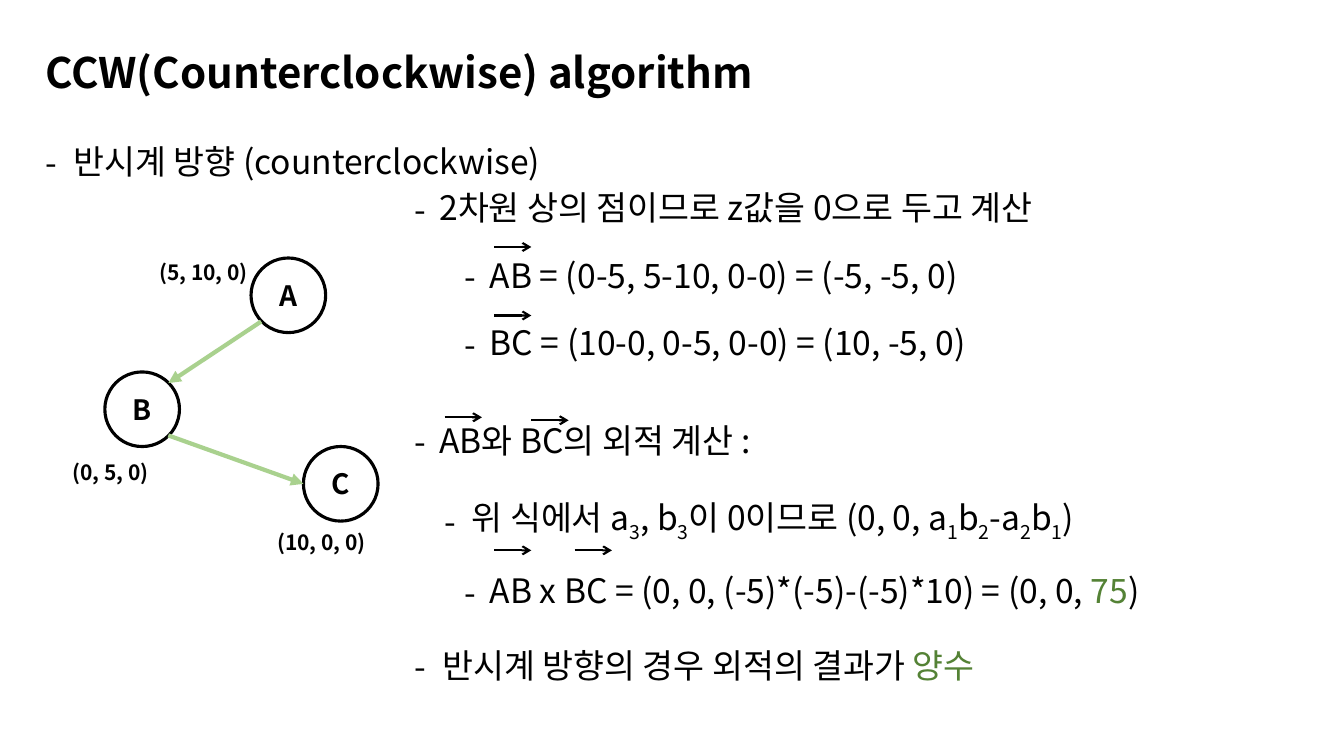
from pptx import Presentation, util as u
from pptx.dml.color import RGBColor
from pptx.enum import shapes, text
from pptx.oxml.ns import qn
from lxml import etree

FONT = "Noto Sans CJK KR"
BLACK, WHITE, ARROW_GREEN, RESULT_GREEN = "000000", "FFFFFF", "A9D18E", "548235"


def colour(value):
    return RGBColor.from_string(value)


class SlideWriter:
    def __init__(self, slide):
        self.slide = slide

    def style(self, font, size, bold=False):
        font.name, font.size, font.bold = FONT, u.Pt(size), bold
        font.color.rgb = colour(BLACK)

    def title(self, words, left, top, width, height):
        heading = self.slide.shapes.title
        heading.left, heading.top = u.Inches(left), u.Inches(top)
        heading.width, heading.height = u.Inches(width), u.Inches(height)
        heading.text_frame.text = words
        heading.text_frame.vertical_anchor = text.MSO_ANCHOR.MIDDLE
        line = heading.text_frame.paragraphs[0]
        line.alignment, line.line_spacing = text.PP_ALIGN.LEFT, 0.9
        self.style(line.font, 30, True)

    def box(self, left, top, width, height):
        frame = self.slide.shapes.add_textbox(
            *map(u.Inches, (left, top, width, height))).text_frame
        frame.word_wrap = True
        return frame

    def label(self, words, left, top):
        line = self.box(left, top, 1.31, 0.35).paragraphs[0]
        line.text = words
        self.style(line.font, 15, True)

    def bullets(self, items, left, top, width, height):
        frame = self.box(left, top, width, height)
        for number, (pieces, margin, hang, spacing, before) in enumerate(items):
            line = frame.add_paragraph() if number else frame.paragraphs[0]
            line.line_spacing = spacing
            if number:
                line.space_before = u.Pt(before)
            properties = line._p.get_or_add_pPr()
            properties.set("marL", str(u.Inches(margin)))
            properties.set("indent", str(-u.Inches(hang)))
            etree.SubElement(properties, qn("a:buFont")).set("typeface", FONT)
            etree.SubElement(properties, qn("a:buChar")).set("char", "-")
            self.style(line.font, 24)
            for words, kind in pieces:
                run = line.add_run()
                run.text = words
                if kind == "sub":
                    run.font._element.set("baseline", "-25000")
                elif kind == "result":
                    run.font.color.rgb = colour(RESULT_GREEN)

    def point(self, name, left, top):
        circle = self.slide.shapes.add_shape(
            shapes.MSO_SHAPE.OVAL, *map(u.Inches, (left, top, 0.74, 0.74)))
        circle.shadow.inherit = False
        circle.fill.solid()
        circle.fill.fore_color.rgb = colour(WHITE)
        circle.line.color.rgb = colour(BLACK)
        circle.line.width = u.Pt(2.25)
        circle.text_frame.text = name
        circle.text_frame.vertical_anchor = text.MSO_ANCHOR.MIDDLE
        line = circle.text_frame.paragraphs[0]
        line.alignment = text.PP_ALIGN.CENTER
        self.style(line.font, 20, True)

    def arrow(self, start, end, shade, width, head):
        link = self.slide.shapes.add_connector(
            shapes.MSO_CONNECTOR.STRAIGHT, *map(u.Inches, start + end))
        link.line.color.rgb = colour(shade)
        link.line.width = u.Pt(width)
        etree.SubElement(link.line._get_or_add_ln(), qn("a:tailEnd")).set("type", head)
        etree.SubElement(link._element.spPr, qn("a:effectLst"))


def plain(words):
    return [(words, "plain")]


def subscripted(*words):
    return [(word, "sub" if i % 2 else "plain") for i, word in enumerate(words)]


def main():
    deck = Presentation()
    deck.slide_width, deck.slide_height = u.Inches(13.33), u.Inches(7.5)
    page = SlideWriter(deck.slides.add_slide(deck.slide_layouts[5]))

    page.title("CCW(Counterclockwise) algorithm", 0.35, 0.35, 12.61, 0.79)
    page.bullets([(plain("반시계 방향 (counterclockwise)"), 0.28, 0.28, 0.9, 0)],
                 0.35, 1.39, 12.61, 0.61)

    points = [("A", 2.49, 2.56, "(5, 10, 0)", 1.48, 2.53),
              ("B", 1.04, 3.69, "(0, 5, 0)", 0.62, 4.51),
              ("C", 3.01, 4.43, "(10, 0, 0)", 2.65, 5.2)]
    for name, left, top, coordinates, label_left, label_top in points:
        page.point(name, left, top)
        page.label(coordinates, label_left, label_top)
    for start, end in [((2.59, 3.19), (1.67, 3.8)), ((1.67, 4.32), (3.01, 4.8))]:
        page.arrow(start, end, ARROW_GREEN, 3, "triangle")

    formula = subscripted("위 식에서 a", "3", ", b", "3", "이 0이므로 (0, 0, a", "1",
                          "b", "2", "-a", "2", "b", "1", ")")
    product = [("AB x BC = (0, 0, (-5)*(-5)-(-5)*10) = (0, 0, ", "plain"),
               ("75", "result"), (")", "plain")]
    conclusion = [("반시계 방향의 경우 외적의 결과가 ", "plain"), ("양수", "result")]
    page.bullets([
        (plain("2차원 상의 점이므로 z값을 0으로 두고 계산"), 0.25, 0.25, 0.9, 0),
        (plain("AB = (0-5, 5-10, 0-0) = (-5, -5, 0)"), 0.75, 0.25, 1.5, 5),
        (plain("BC = (10-0, 0-5, 0-0) = (10, -5, 0)"), 0.75, 0.25, 1.5, 5),
        (plain("AB와 BC의 외적 계산 :"), 0.25, 0.25, 1, 41),
        (formula, 0.57, 0.27, 1.5, 10),
        (product, 0.75, 0.25, 1.5, 5),
        (conclusion, 0.28, 0.28, 1.5, 10),
    ], 4.01, 1.85, 8.97, 5.3)

    vector_marks = [(4.9, 2.45), (4.9, 3.13), (4.41, 4.14),
                    (5.27, 4.17), (4.9, 5.46), (5.7, 5.46)]
    for left, top in vector_marks:
        page.arrow((left, top), (left + 0.37, top), BLACK, 1.5, "arrow")

    deck.save("out.pptx")


if __name__ == "__main__":
    main()
